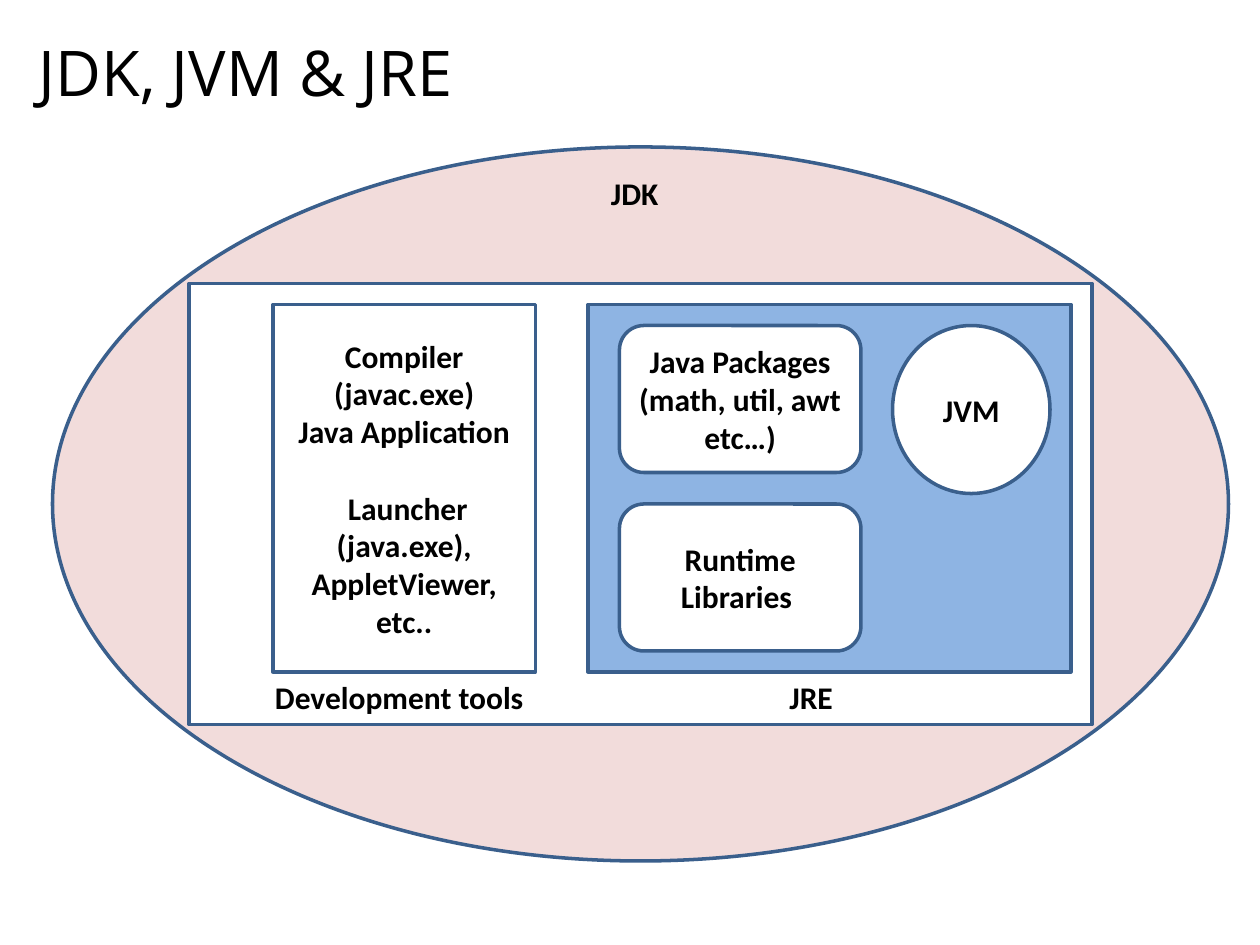
"""Build the slide that shows how the JDK, JRE and JVM are nested."""
from dataclasses import dataclass

from pptx import Presentation
from pptx.dml.color import RGBColor
from pptx.enum.shapes import MSO_SHAPE
from pptx.enum.text import MSO_ANCHOR, MSO_AUTO_SIZE, PP_ALIGN
from pptx.util import Pt

ELLIPSE = MSO_SHAPE.OVAL
RECTANGLE = MSO_SHAPE.RECTANGLE
ROUNDED = MSO_SHAPE.ROUNDED_RECTANGLE
MIDDLE = MSO_ANCHOR.MIDDLE
CENTER, LEFT = PP_ALIGN.CENTER, PP_ALIGN.LEFT
NO_RESIZE = MSO_AUTO_SIZE.NONE

BLACK, WHITE, PINK, BLUE, OUTLINE = "000000", "FFFFFF", "F2DCDB", "8EB4E3", "3A5F8C"
TITLE_ONLY = 5
PANEL_TOP, PANEL_HEIGHT = 174, 210
LIBRARY_LEFT, LIBRARY_WIDTH, LIBRARY_HEIGHT = 354, 138, 84
LIBRARY_TOP, LIBRARY_STEP = 186, 102
CAPTION_TOP = PANEL_TOP + PANEL_HEIGHT


@dataclass(frozen=True)
class Line:
    text: str
    space_before: float = 0


@dataclass(frozen=True)
class Region:
    kind: MSO_SHAPE
    left: float
    top: float
    width: float
    height: float
    fill: str = WHITE
    lines: tuple[Line, ...] = ()


@dataclass(frozen=True)
class Caption:
    text: str
    left: float
    top: float
    width: float
    height: float = 29


REGIONS = (
    Region(ELLIPSE, 30, 84, 672, 408, PINK),
    Region(RECTANGLE, 108, 162, 516, 252),
    Region(RECTANGLE, 156, PANEL_TOP, 150, PANEL_HEIGHT, WHITE, (
        Line("Compiler (javac.exe)"),
        Line("Java Application"),
        Line(" Launcher (java.exe), AppletViewer, etc..", 22),
    )),
    Region(RECTANGLE, 336, PANEL_TOP, 276, PANEL_HEIGHT, BLUE),
    Region(ROUNDED, LIBRARY_LEFT, LIBRARY_TOP, LIBRARY_WIDTH, LIBRARY_HEIGHT, WHITE,
           (Line("Java Packages"), Line("(math, util, awt etc…)"))),
    Region(ROUNDED, LIBRARY_LEFT, LIBRARY_TOP + LIBRARY_STEP, LIBRARY_WIDTH,
           LIBRARY_HEIGHT, WHITE, (Line("Runtime Libraries "),)),
    Region(ELLIPSE, 510, LIBRARY_TOP, 90, 96, WHITE, (Line("JVM"),)),
)
CAPTIONS = (
    Caption("Development tools", 150, CAPTION_TOP, 162),
    Caption("JRE", 444, CAPTION_TOP, 42),
    Caption("JDK", 342, 96, 42),
)


def color(value: str) -> RGBColor:
    """Turn a hex string into a colour."""
    return RGBColor.from_string(value)


def add_span(para, text: str, size: float = 18, font: str = "Calibri",
             bold: bool = True) -> None:
    """Add one formatted run to a paragraph."""
    span = para.add_run()
    span.text = text
    span.font.size = Pt(size)
    span.font.name = font
    span.font.bold = bold
    span.font.color.rgb = color(BLACK)


def draw_title(page, text: str) -> None:
    """Place and fill the title placeholder."""
    box = page.shapes.title
    box.left, box.top, box.width, box.height = Pt(15), Pt(9), Pt(690), Pt(63)
    frame = box.text_frame
    frame.auto_size = NO_RESIZE
    frame.vertical_anchor = MIDDLE
    para = frame.paragraphs[0]
    para.alignment = LEFT
    add_span(para, text, 36, "Open Sans", False)


def draw_region(page, region: Region) -> None:
    """Draw an outlined shape with its centred lines."""
    box = page.shapes.add_shape(region.kind, Pt(region.left), Pt(region.top),
                                Pt(region.width), Pt(region.height))
    box.shadow.inherit = False
    box.fill.solid()
    box.fill.fore_color.rgb = color(region.fill)
    box.line.color.rgb = color(OUTLINE)
    box.line.width = Pt(2)
    frame = box.text_frame
    frame.word_wrap = True
    frame.vertical_anchor = MIDDLE
    for index, line in enumerate(region.lines):
        para = frame.add_paragraph() if index else frame.paragraphs[0]
        para.alignment = CENTER
        if line.space_before:
            para.space_before = Pt(line.space_before)
        add_span(para, line.text)


def draw_caption(page, caption: Caption) -> None:
    """Draw a bold caption without an outline."""
    box = page.shapes.add_textbox(Pt(caption.left), Pt(caption.top),
                                  Pt(caption.width), Pt(caption.height))
    box.text_frame.word_wrap = True
    add_span(box.text_frame.paragraphs[0], caption.text)


def main() -> None:
    """Build and save the deck."""
    deck = Presentation()
    deck.slide_width, deck.slide_height = Pt(720), Pt(540)
    page = deck.slides.add_slide(deck.slide_layouts[TITLE_ONLY])
    draw_title(page, "JDK, JVM & JRE")
    for region in REGIONS:
        draw_region(page, region)
    for caption in CAPTIONS:
        draw_caption(page, caption)
    deck.save("out.pptx")


if __name__ == "__main__":
    main()
